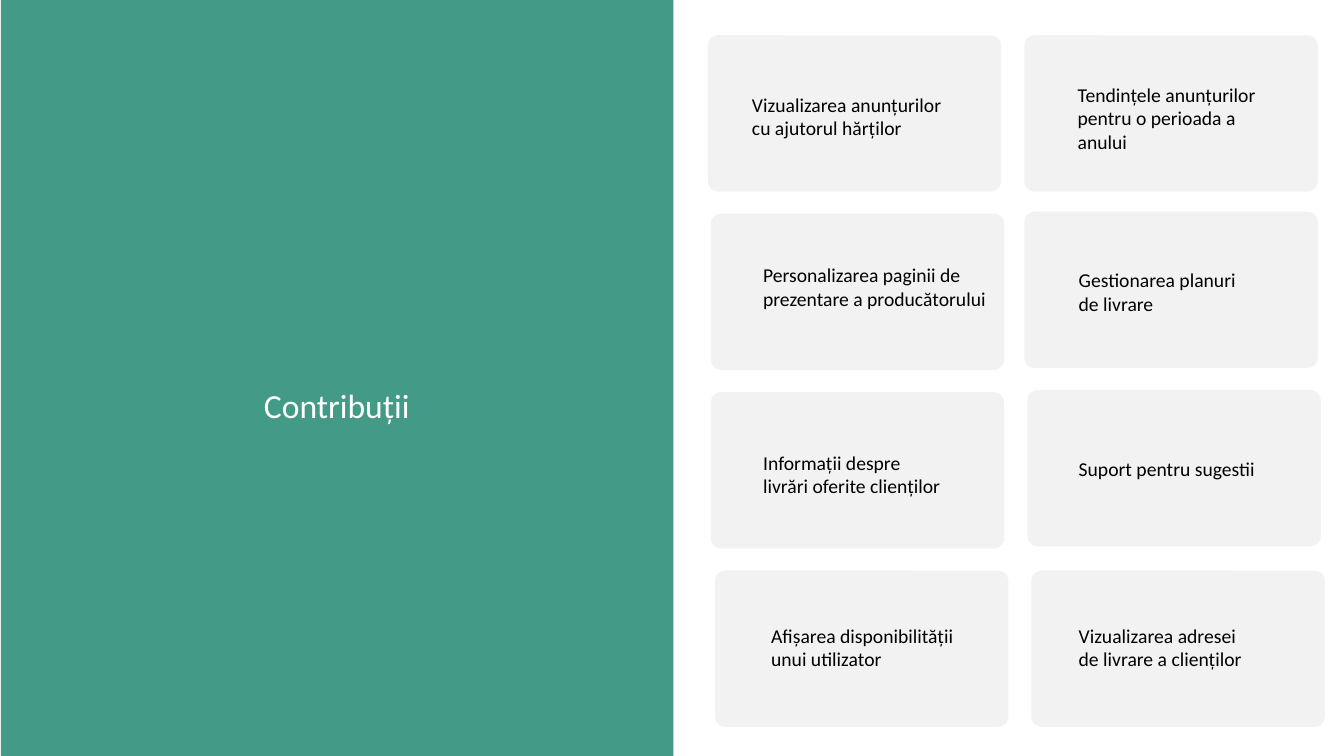
from dataclasses import dataclass

from pptx import Presentation
from pptx.dml.color import RGBColor
from pptx.enum.shapes import MSO_SHAPE
from pptx.enum.text import MSO_AUTO_SIZE, PP_ALIGN
from pptx.shapes.autoshape import Shape
from pptx.slide import Slide
from pptx.util import Emu, Pt

RECTANGLE = MSO_SHAPE.RECTANGLE
ROUNDED_RECTANGLE = MSO_SHAPE.ROUNDED_RECTANGLE
GROW = MSO_AUTO_SIZE.SHAPE_TO_FIT_TEXT
LEFT = PP_ALIGN.LEFT
CENTER = PP_ALIGN.CENTER

EMU_PER_PX = 9144
FONT = "Calibri"
COLORS = {"panel": "439A86", "card": "F2F2F2", "title": "FFFFFF", "text": "000000"}
CARD_WIDTH = 291
CARD_HEIGHT = 155
CARD_ROUNDING = 0.067


@dataclass(frozen=True)
class Box:
    left: int
    top: int
    width: int
    height: int

    def emu(self) -> tuple[Emu, Emu, Emu, Emu]:
        sides = (self.left, self.top, self.width, self.height)
        return tuple(Emu(side * EMU_PER_PX) for side in sides)


@dataclass(frozen=True)
class Card:
    left: int
    top: int
    label: str
    label_box: Box


CARDS = (
    Card(702, 35, "Vizualizarea anunțurilor cu ajutorul hărților", Box(736, 87, 229, 57)),
    Card(1016, 35, "Tendințele anunțurilor pentru o perioada a anului", Box(1059, 77, 219, 81)),
    Card(705, 212, "Personalizarea paginii de prezentare a producătorului", Box(747, 256, 242, 57)),
    Card(1016, 210, "Gestionarea planuri de livrare", Box(1060, 261, 181, 57)),
    Card(705, 389, "Informații despre livrări oferite clienților", Box(747, 442, 205, 57)),
    Card(1019, 387, "Suport pentru sugestii", Box(1060, 448, 209, 34)),
    Card(709, 566, "Afișarea disponibilității unui utilizator", Box(755, 614, 219, 57)),
    Card(1023, 566, "Vizualizarea adresei de livrare a clienților", Box(1060, 614, 188, 57)),
)


def add_block(slide: Slide, kind: MSO_SHAPE, box: Box, color: str) -> Shape:
    shape = slide.shapes.add_shape(kind, *box.emu())
    shape.shadow.inherit = False
    shape.fill.solid()
    shape.fill.fore_color.rgb = RGBColor.from_string(COLORS[color])
    shape.line.fill.background()
    return shape


def add_text(
    slide: Slide, box: Box, text: str, size: int, color: str, alignment: PP_ALIGN = LEFT
) -> None:
    text_frame = slide.shapes.add_textbox(*box.emu()).text_frame
    text_frame.word_wrap = True
    text_frame.auto_size = GROW
    text_frame.text = text
    paragraph = text_frame.paragraphs[0]
    paragraph.alignment = alignment
    font = paragraph.runs[0].font
    font.name = FONT
    font.size = Pt(size)
    font.color.rgb = RGBColor.from_string(COLORS[color])


def add_card(slide: Slide, card: Card) -> None:
    box = Box(card.left, card.top, CARD_WIDTH, CARD_HEIGHT)
    shape = add_block(slide, ROUNDED_RECTANGLE, box, "card")
    shape.adjustments[0] = CARD_ROUNDING
    add_text(slide, card.label_box, card.label, 14, "text")


def main() -> None:
    presentation = Presentation()
    presentation.slide_width = Emu(1333 * EMU_PER_PX)
    presentation.slide_height = Emu(750 * EMU_PER_PX)
    slide = presentation.slides.add_slide(presentation.slide_layouts[6])

    add_block(slide, RECTANGLE, Box(1, 0, 667, 750), "panel")
    add_text(slide, Box(0, 377, 668, 50), "Contribuții", 24, "title", CENTER)
    for card in CARDS:
        add_card(slide, card)

    presentation.save("out.pptx")


if __name__ == "__main__":
    main()
